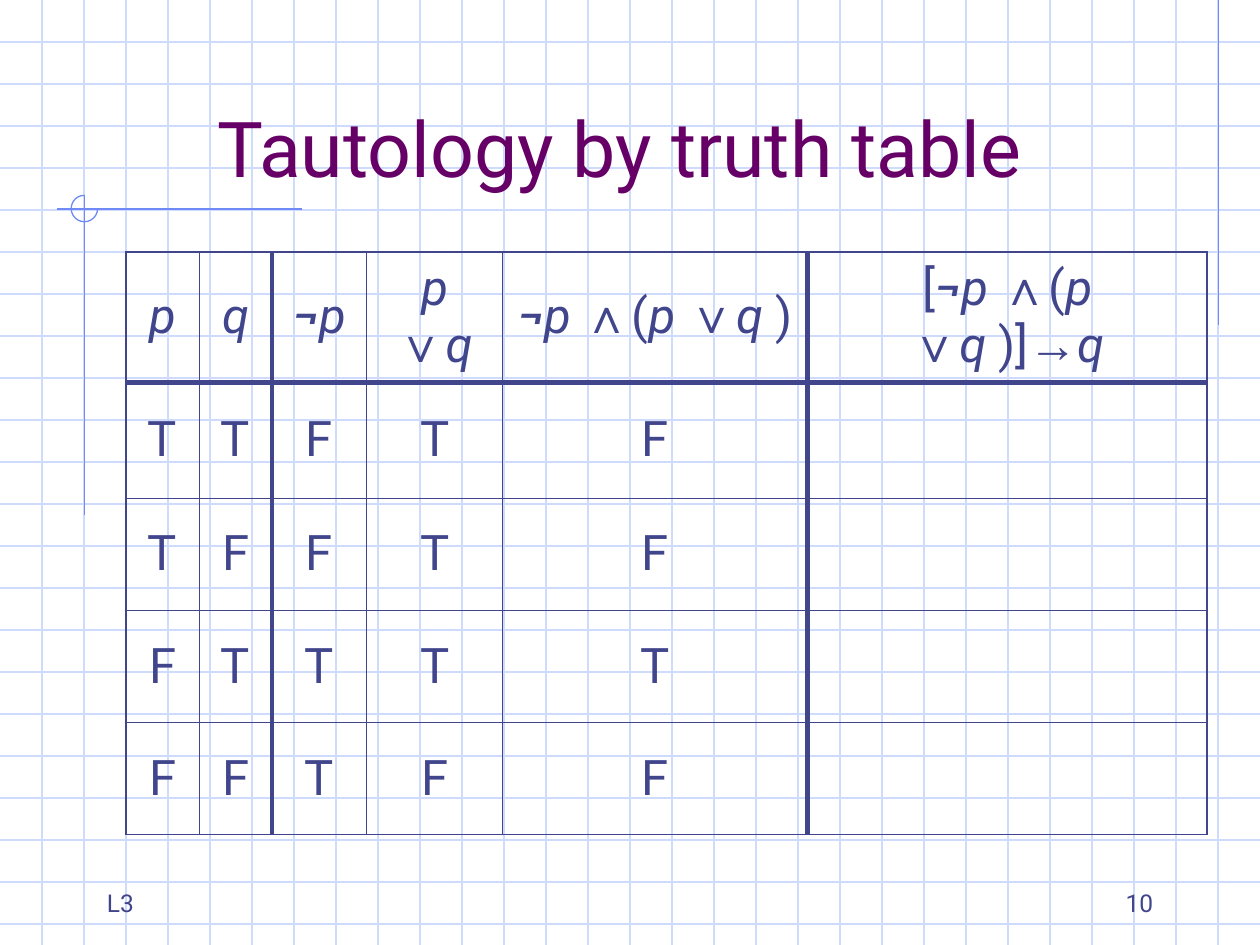
from itertools import groupby

from lxml import etree
from pptx import Presentation
from pptx import util as u
from pptx.dml.color import RGBColor
from pptx.enum import shapes, text
from pptx.oxml import ns

HEX = {"grid": "CFDBFD", "rule": "6F89F7", "title": "660066", "ink": "40458C"}
SYMBOLS = "∧∨→"
HEADS = ["p", "q", "¬p", "p ∨q", "¬p ∧(p ∨q )", "[¬p ∧(p ∨q )]→q"]
ROWS = ["TTFTF", "TFFTF", "FTTTT", "FFTFF"]
WIDTHS = [0.58, 0.58, 0.75, 1.08, 2.42, 3.17]
HEIGHTS = [0.67, 0.92, 0.89, 0.89, 0.89]
COL_RULES = [1.08, 0.45, 3, 0.45, 0.45, 3, 1.08]
ROW_RULES = [1.08, 3, 0.11, 0.45, 0.45, 1.08]
ALIGN = {
    "l": text.PP_ALIGN.LEFT,
    "c": text.PP_ALIGN.CENTER,
    "r": text.PP_ALIGN.RIGHT,
}


def color(key):
    """Return the named colour."""
    return RGBColor.from_string(HEX[key])


def style(char):
    """Return the font, bold and italic of a character in a formula."""
    if char in SYMBOLS:
        return "Arial", False, False
    return "Roboto", char == "¬", char in "pq ¬"


def write(frame, words, size=28, ink="ink", align="c", math=False):
    """Write one paragraph, styling each part of a formula when math is set."""
    para = frame.paragraphs[0]
    para.alignment = ALIGN[align]
    key = style if math else lambda char: ("Roboto", False, False)
    for (face, bold, slant), chars in groupby(words, key):
        run = para.add_run()
        run.text = "".join(chars)
        font = run.font
        font.name, font.size = face, u.Pt(size)
        font.bold, font.italic = bold, slant
        font.color.rgb = color(ink)


def label(slide, box, words, **form):
    """Place a bottom-anchored text box."""
    frame = slide.shapes.add_textbox(*map(u.Inches, box)).text_frame
    frame.word_wrap = True
    frame.vertical_anchor = text.MSO_ANCHOR.BOTTOM
    write(frame, words, **form)


def rule(slide, ends, ink):
    """Draw a thin straight line between two points."""
    line = slide.shapes.add_connector(
        shapes.MSO_CONNECTOR.STRAIGHT, *map(u.Inches, ends)
    )
    line.line.color.rgb = color(ink)
    line.line.width = u.Pt(0.75)
    etree.SubElement(line._element.spPr, ns.qn("a:effectLst"))


def grid(slide, box):
    """Draw graph paper with three squares to the inch."""
    left, top, wide, high = box
    for i in range(1, int(high * 3) + 1):
        y = top + i / 3
        rule(slide, (left, y, left + wide, y), "grid")
    for i in range(1, int(wide * 3)):
        x = left + i / 3
        rule(slide, (x, top, x, top + high), "grid")


def accent(slide, box):
    """Draw the crossed rules and the open ring at their crossing."""
    left, top, wide, high = box
    x, y, size = left + 0.22, top + 0.11, 0.21
    rule(slide, (left + wide, y, left, y), "rule")
    rule(slide, (x, top, x, top + high), "rule")
    ring = slide.shapes.add_shape(
        shapes.MSO_SHAPE.ARC,
        *map(u.Inches, (x - size / 2, top, size, size)),
    )
    ring.adjustments[0], ring.adjustments[1] = 0, 162
    ring.shadow.inherit = False
    ring.fill.background()
    ring.line.color.rgb = color("rule")
    ring.line.width = u.Pt(0.75)


def border(cell, sides):
    """Set the left, right, top and bottom border widths of a cell."""
    props = cell._tc.get_or_add_tcPr()
    for side, width in zip("LRTB", sides):
        line = etree.SubElement(
            props, ns.qn(f"a:ln{side}"), w=str(int(u.Pt(width)))
        )
        fill = etree.SubElement(line, ns.qn("a:solidFill"))
        etree.SubElement(fill, ns.qn("a:srgbClr"), val=HEX["ink"])


def truth(slide, box):
    """Build the truth table."""
    table = slide.shapes.add_table(
        len(HEIGHTS), len(WIDTHS), *map(u.Inches, box)
    ).table
    table.first_row = table.horz_banding = False
    for col, wide in zip(table.columns, WIDTHS):
        col.width = u.Inches(wide)
    for row, high in zip(table.rows, HEIGHTS):
        row.height = u.Inches(high)
    for r, words in enumerate([HEADS, *ROWS]):
        for c in range(len(WIDTHS)):
            cell = table.cell(r, c)
            cell.vertical_anchor = text.MSO_ANCHOR.MIDDLE
            border(cell, COL_RULES[c:c + 2] + ROW_RULES[r:r + 2])
            cell.fill.background()
            if c < len(words):
                write(cell.text_frame, words[c], math=r == 0)


def main():
    """Build and save the slide."""
    deck = Presentation()
    deck.slide_width, deck.slide_height = u.Inches(10), u.Inches(7.5)
    slide = deck.slides.add_slide(deck.slide_layouts[6])
    grid(slide, (0, 0, 10, 7.5))
    rule(slide, (9.67, 0, 9.67, 2.58), "rule")
    accent(slide, (0.45, 1.55, 1.95, 2.54))
    label(slide, (0.67, 0.33, 8.5, 1.25), "Tautology by truth table",
          size=44, ink="title")
    truth(slide, (1, 2, 8.58, 4.25))
    label(slide, (7.17, 6.83, 2.08, 0.5), "10", size=14, align="r")
    label(slide, (0.75, 6.83, 2.08, 0.5), "L3", size=14, align="l")
    deck.save("out.pptx")


if __name__ == "__main__":
    main()
